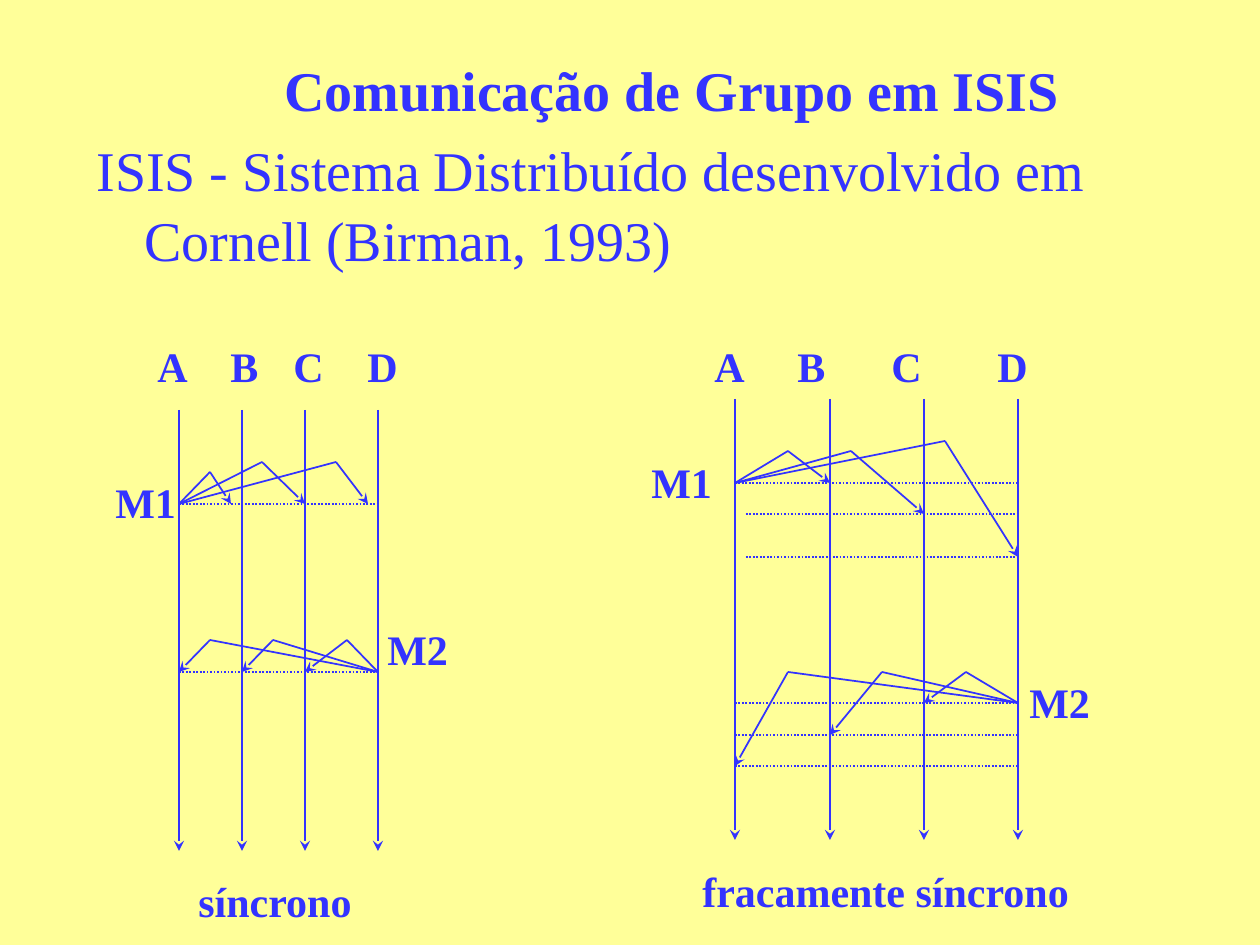
from pptx import Presentation
from pptx import util as u
from pptx.dml.color import RGBColor
from pptx.enum import dml, shapes, text
from pptx.oxml.ns import qn
from lxml import etree

PX = 914400 // 126
INK = {"page": "FFFF99", "blue": "3333FF"}
FONT = "Times New Roman"


def color(key):
    """Return the named colour."""
    return RGBColor.from_string(INK[key])


def style(para, size, bold):
    """Format every run of a paragraph."""
    for run in para.runs:
        font = run.font
        font.name, font.size, font.bold = FONT, u.Pt(size), bold
        font.color.rgb = color("blue")


def place(shape, left, top, width, height):
    """Move and size a shape in px."""
    shape.left, shape.top = left * PX, top * PX
    shape.width, shape.height = width * PX, height * PX


def add_title(slide, words, box):
    """Fill the title placeholder."""
    title = slide.shapes.title
    place(title, *box)
    frame = title.text_frame
    frame.text = words
    frame.auto_size = text.MSO_AUTO_SIZE.NONE
    frame.vertical_anchor = text.MSO_ANCHOR.TOP
    para = frame.paragraphs[0]
    para.alignment = text.PP_ALIGN.CENTER
    style(para, 32, True)


def add_body(slide, words, box):
    """Add a wrapped paragraph with a hanging indent."""
    frame = slide.shapes.add_textbox(*(n * PX for n in box)).text_frame
    frame.word_wrap = True
    frame.text = words
    para = frame.paragraphs[0]
    para.line_spacing = 1.04
    props = para._p.get_or_add_pPr()
    props.set("marL", str(48 * PX))
    props.set("indent", str(-48 * PX))
    style(para, 32, False)


def add_label(slide, words, left, top, width):
    """Add a bold label that fits its text."""
    box = slide.shapes.add_textbox(left * PX, top * PX, width * PX, 63 * PX)
    frame = box.text_frame
    frame.word_wrap = False
    frame.auto_size = text.MSO_AUTO_SIZE.SHAPE_TO_FIT_TEXT
    frame.text = words
    style(frame.paragraphs[0], 24, True)


def add_line(slide, start, end, arrow=False, dots=False):
    """Draw a thin line, with an arrowhead or dots if asked."""
    ends = (n * PX for n in (*start, *end))
    line = slide.shapes.add_connector(shapes.MSO_CONNECTOR.STRAIGHT, *ends)
    line.line.color.rgb = color("blue")
    line.line.width = u.Pt(1)
    if dots:
        line.line.dash_style = dml.MSO_LINE.ROUND_DOT
    if arrow:
        ln = line.line._get_or_add_ln()
        etree.SubElement(ln, qn("a:tailEnd"), type="stealth")
    etree.SubElement(line._element.spPr, qn("a:effectLst"))


def add_chart(slide, cols, top, rows, sends):
    """Draw timelines, dotted moments and bent messages."""
    for x in cols:
        add_line(slide, (x, top), (x, top + 441), arrow=True)
    for left, y in rows:
        add_line(slide, (left, y), (cols[-1], y), dots=True)
    for start, hops in sends:
        for peak, end in hops:
            add_line(slide, start, peak)
            add_line(slide, peak, end, arrow=True)


def add_names(slide, lefts, first, second):
    """Label the four processes and the two messages."""
    for name, left in zip("ABCD", lefts):
        add_label(slide, name, left, 334, 55)
    add_label(slide, "M1", *first, 86)
    add_label(slide, "M2", *second, 86)


def add_sync(slide):
    """Draw the synchronous case."""
    a, b, c, d = cols = (179, 242, 305, 378)
    sent, back = 504, 672
    sends = [
        ((a, sent), [((210, 472), (231, sent)), ((262, 462), (c, sent)),
                     ((336, 462), (368, sent))]),
        ((d, back), [((347, 640), (c, back)), ((273, 640), (b, back)),
                     ((210, 640), (a, back))]),
    ]
    add_chart(slide, cols, 410, [(a, sent), (a, back)], sends)
    add_names(slide, (145, 218, 281, 355), (103, 470), (375, 617))
    add_label(slide, "síncrono", 186, 869, 179)


def add_loose(slide):
    """Draw the loosely synchronous case."""
    a, b, c, d = cols = (735, 830, 924, 1018)
    rows = [(a, 483), (746, 514), (746, 557), (a, 703), (a, 735), (a, 766)]
    sends = [
        ((a, 483), [((788, 451), (b, 483)), ((851, 451), (c, 514)),
                    ((945, 441), (d, 557))]),
        ((d, 703), [((966, 672), (c, 703)), ((882, 672), (b, 735)),
                    ((788, 672), (a, 766))]),
    ]
    add_chart(slide, cols, 399, rows, sends)
    add_names(slide, (702, 785, 879, 985), (639, 450), (1017, 670))
    add_label(slide, "fracamente síncrono", 690, 859, 393)


def main():
    """Build and save the slide."""
    deck = Presentation()
    deck.slide_width, deck.slide_height = u.Inches(10), u.Inches(7.5)
    slide = deck.slides.add_slide(deck.slide_layouts[5])
    fill = slide.background.fill
    fill.solid()
    fill.fore_color.rgb = color("page")
    add_title(slide, "Comunicação de Grupo em ISIS", (89, 49, 1166, 76))
    add_body(slide, "ISIS - Sistema Distribuído desenvolvido em "
             "Cornell (Birman, 1993)", (84, 127, 1166, 146))
    add_sync(slide)
    add_loose(slide)
    deck.save("out.pptx")


if __name__ == "__main__":
    main()
